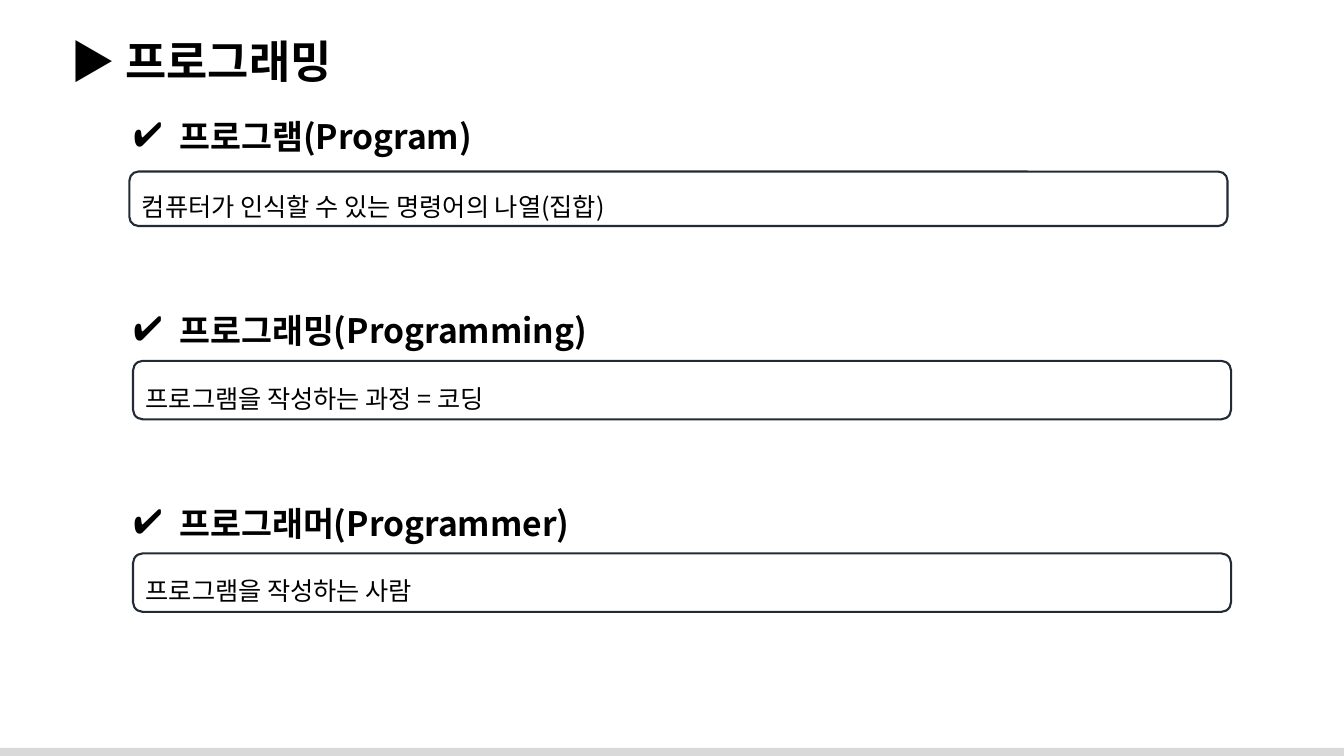
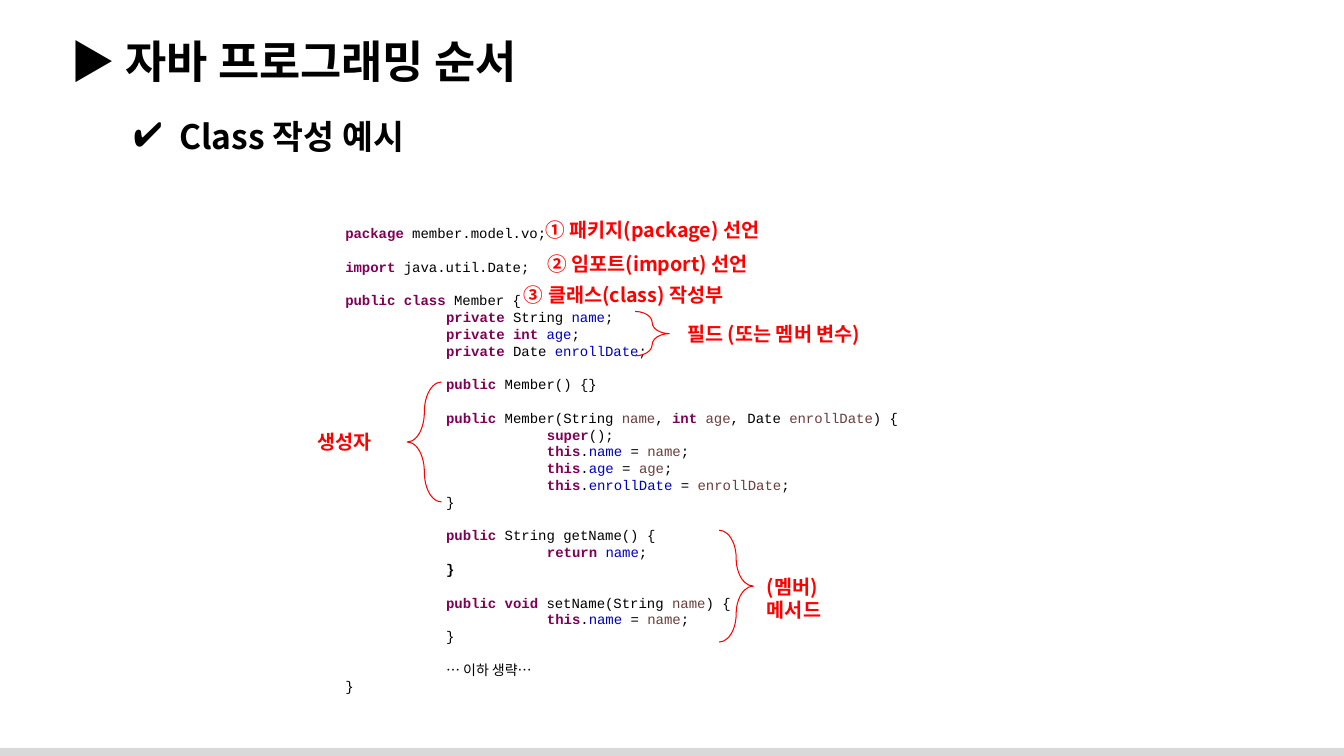
from lxml import etree
from pptx import Presentation
from pptx import util as u
from pptx.dml.color import RGBColor
from pptx.enum import shapes, text
from pptx.oxml import ns

COLORS = dict(ink="000000", band="D9D9D9", outline="222A35", mark="FF0000",
              keyword="7F0055", field="0000C0", argument="6A3E3E")
SANS, MONO = "Noto Sans CJK KR", "Courier New"
# Letter that opens a code segment: colour and weight
STYLES = dict(k=("keyword", True), t=("ink", False), b=("ink", True),
              f=("field", False), a=("argument", False))

prs = Presentation()
prs.slide_width, prs.slide_height = u.Inches(13.33), u.Inches(7.5)


def add(s, x, y, w, h, preset=None, fill=None, line=None, weight=1.5):
    """Add a text box, or a preset shape, placed in percent of the slide's size."""
    box = [int(prs.slide_width * x / 100), int(prs.slide_height * y / 100),
           int(prs.slide_width * w / 100), int(prs.slide_height * h / 100)]
    if preset is None:
        return s.shapes.add_textbox(*box)
    sp = s.shapes.add_shape(preset, *box)
    sp.shadow.inherit = False
    if fill:
        sp.fill.solid()
        sp.fill.fore_color.rgb = RGBColor.from_string(COLORS[fill])
    else:
        sp.fill.background()
    if line:
        sp.line.color.rgb = RGBColor.from_string(COLORS[line])
        sp.line.width = u.Pt(weight)
    else:
        sp.line.fill.background()
    return sp


def write(sp, lines, size, color="ink", bold=False, font=SANS, pitch=1.2,
          gaps=(), bullet=None, tabs=(), anchor=text.MSO_ANCHOR.TOP):
    """Write lines, each a string or a list of (text, colour, bold) runs.

    pitch is the line height in font sizes; gaps holds the indexes of lines
    that have one line of space before them; tabs are stops in inches.
    """
    tf = sp.text_frame
    tf.word_wrap = True
    tf.vertical_anchor = anchor
    for i, line in enumerate(lines):
        p = tf.add_paragraph() if i else tf.paragraphs[0]
        p.alignment = text.PP_ALIGN.LEFT
        p.line_spacing = u.Pt(size * pitch)
        if i in gaps:
            p.space_before = u.Pt(size * pitch)
        pPr = p._p.get_or_add_pPr()
        if bullet:
            indent = u.Inches(0.45)
            pPr.set("marL", str(indent))
            pPr.set("indent", str(-indent))
            etree.SubElement(pPr, ns.qn("a:buSzPct")).set("val", "128000")
            etree.SubElement(pPr, ns.qn("a:buChar")).set("char", bullet)
        if tabs:
            tab_list = etree.SubElement(pPr, ns.qn("a:tabLst"))
            for stop in tabs:
                tab = etree.SubElement(tab_list, ns.qn("a:tab"))
                tab.set("pos", str(u.Inches(stop)))
                tab.set("algn", "l")
        runs = [(line, color, bold)] if isinstance(line, str) else line
        for words, run_color, run_bold in runs:
            r = p.add_run()
            r.text = words
            r.font.size, r.font.bold, r.font.name = u.Pt(size), run_bold, font
            r.font.color.rgb = RGBColor.from_string(COLORS[run_color])
            ea = etree.SubElement(r._r.get_or_add_rPr(), ns.qn("a:ea"))
            ea.set("typeface", SANS)


# Both slides: band, title and check-marked headings
HEAD_TOP, HEAD_STEP = 14.7, 25.6
pages = [
    ("▶ 프로그래밍",
     ["프로그램(Program)", "프로그래밍(Programming)", "프로그래머(Programmer)"]),
    ("▶ 자바 프로그래밍 순서", ["Class 작성 예시"]),
]
slides = []
for title, headings in pages:
    s = prs.slides.add_slide(prs.slide_layouts[6])
    add(s, 0, 98.93, 100, 1.07, shapes.MSO_SHAPE.RECTANGLE, fill="band")
    write(add(s, 4.5, 3.85, 94.5, 8.53), [title], 32, bold=True)
    for i, heading in enumerate(headings):
        write(add(s, 9.23, HEAD_TOP + i * HEAD_STEP, 40, 6.67), [heading], 24,
              bold=True, bullet="✔")
    slides.append(s)
terms, example = slides

# Slide 1: definitions in rounded boxes
for x, y, h, definition in [
    (9.63, 22.7, 7.2, "컴퓨터가 인식할 수 있는 명령어의 나열(집합)"),
    (9.9, 47.73, 7.73, "프로그램을 작성하는 과정 = 코딩"),
    (9.9, 73.2, 7.73, "프로그램을 작성하는 사람"),
]:
    sp = add(terms, x, y, 81.7, h, shapes.MSO_SHAPE.ROUNDED_RECTANGLE, line="outline")
    write(sp, [definition], 18, pitch=1.83, anchor=text.MSO_ANCHOR.MIDDLE)

# Slide 2: code in blocks; segments are split by | and open with a style letter
blocks = [
    ["kpackage |tmember.model.vo;"],
    ["kimport |tjava.util.Date;"],
    ["kpublic class |tMember {",
     "k\tprivate |tString |fname|t;",
     "k\tprivate int |fage|t;",
     "k\tprivate |tDate |fenrollDate|t;"],
    ["k\tpublic |tMember() {}"],
    ["k\tpublic |tMember(String |aname|t, |kint |aage|t, Date |aenrollDate|t) {",
     "k\t\tsuper|t();",
     *[f"k\t\tthis|t.|f{n}|t = |a{n}|t;" for n in ("name", "age", "enrollDate")],
     "t\t}"],
    ["k\tpublic |tString getName() {",
     "k\t\treturn |fname|t;",
     "b\t}"],
    ["k\tpublic void |tsetName(String |aname|t) {",
     "k\t\tthis|t.|fname|t = |aname|t;",
     "t\t}"],
    ["t\t… 이하 생략…",
     "t}"],
]
code, gaps = [], []
for block in blocks:
    if code:
        gaps.append(len(code))
    for line in block:
        code.append([(part[1:], *STYLES[part[0]]) for part in line.split("|")])
write(add(example, 24.95, 29.07, 50, 64.13), code, 10, font=MONO, pitch=1.2,
      gaps=gaps, tabs=(1, 2))

for x, y, w, label in [
    (39.83, 28.13, 20, ["① 패키지(package) 선언"]),
    (39.98, 32.6, 20, ["② 임포트(import) 선언"]),
    (38.25, 36.8, 20, ["③ 클래스(class) 작성부"]),
    (50.4, 41.87, 20, ["필드 (또는 멤버 변수)"]),
    (22.88, 56.27, 7, ["생성자"]),
    (56.33, 75.33, 10, ["(멤버)", "메서드"]),
]:
    write(add(example, x, y, w, 4.53 * len(label)), label, 14, color="mark", bold=True)

for preset, x, y, h in [
    (shapes.MSO_SHAPE.LEFT_BRACE, 30.3, 50.53, 15.87),
    (shapes.MSO_SHAPE.RIGHT_BRACE, 47.25, 41.2, 5.87),
    (shapes.MSO_SHAPE.RIGHT_BRACE, 53.5, 70.13, 14.8),
]:
    sp = add(example, x, y, 2.55, h, preset, line="mark", weight=0.75)
    sp.adjustments[0] = 0.87

prs.save("out.pptx")
